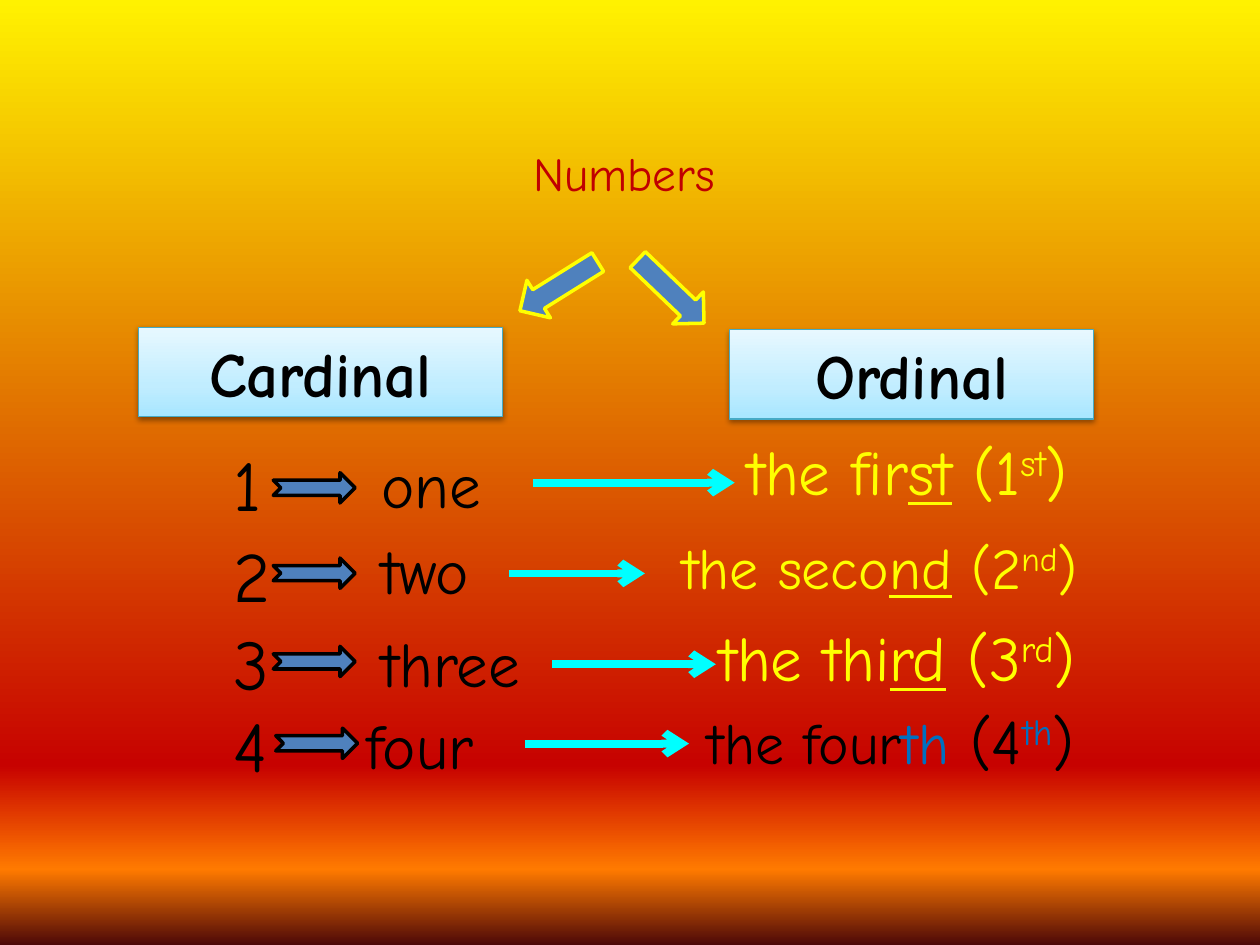
"""Build a slide that pairs cardinal numbers with their ordinal forms."""
import lxml.etree
import pptx
import pptx.dml.color
import pptx.enum.shapes
import pptx.enum.text
import pptx.oxml.ns
import pptx.util

FONT = "Comic Neue"
BLACK, YELLOW, BLUE, CYAN, STEEL = "000000", "FFFF00", "0070C0", "00FFFF", "4F81BD"
SKY = [(0, "FFF200"), (81, "C70200"), (92, "FF7A00"), (100, "4D0808")]
ICE = [(0, "A7E6FF"), (35, "C1EDFF"), (100, "E7F8FF")]

TITLE = ("Numbers", (6.96, 2.79, 11.25, 2.26))
HEADINGS = [("Cardinal", 2.79, 6.6), ("Ordinal", 14.71, 6.65)]
BRANCHES = [(10.82, 4.85, 58), (13.08, 4.95, 313.8)]
ROWS = [
    dict(digit="1", digit_top=8.76, notch=(5.51, 9.53), word="one", word_at=(7.44, 8.86, 3.15),
         link=(10.74, 14.81, 9.73), ordinal=("the fir", "st"), ordinal_at=(14.81, 8.59, 9.98), size=36),
    dict(digit="2", digit_top=10.59, notch=(5.51, 11.25), word="two", word_at=(7.44, 10.59, 3.15),
         link=(10.26, 13, 11.56), ordinal=("the seco", "nd"), ordinal_at=(13.51, 10.59, 11.35), size=33),
    dict(digit="3", digit_top=12.37, notch=(5.51, 13.03), word="three", word_at=(7.44, 12.47, 4.45),
         link=(11.13, 14.43, 13.39), ordinal=("the thi", "rd"), ordinal_at=(14.25, 12.34, 11.43), size=36),
    dict(digit="4", digit_top=14.02, notch=(5.56, 14.68), word="four", word_at=(7.14, 14.12, 3.45),
         link=(10.59, 13.89, 14.99), ordinal=("the four", "th"), ordinal_at=(14.02, 14.02, 11.66), size=33),
]


def color(value):
    return pptx.dml.color.RGBColor.from_string(value)


def lengths(values):
    return [pptx.util.Cm(value) for value in values]


def add_xml(parent, tag, **attributes):
    child = lxml.etree.SubElement(parent, pptx.oxml.ns.qn(tag))
    for name, value in attributes.items():
        child.set(name, str(value))
    return child


def paint_gradient(fill, element, stops, angle):
    fill.gradient()
    gradient = next(element.iter(pptx.oxml.ns.qn("a:gradFill")))
    for child in list(gradient):
        gradient.remove(child)
    stop_list = add_xml(gradient, "a:gsLst")
    for position, value in stops:
        stop = add_xml(stop_list, "a:gs", pos=position * 1000)
        add_xml(stop, "a:srgbClr", val=value)
    add_xml(gradient, "a:lin", ang=angle * 60000, scaled=0)


def write(frame, spans, centered=False):
    para = frame.paragraphs[0]
    align = pptx.enum.text.PP_ALIGN
    para.alignment = align.CENTER if centered else align.LEFT
    for text, size, value, style in spans:
        span = para.add_run()
        span.text = text
        span.font.name = FONT
        span.font.size = pptx.util.Pt(size)
        span.font.color.rgb = color(value)
        if style == "bold":
            span.font.bold = True
        elif style == "underline":
            span.font.underline = True
        elif style == "raised":
            span._r.get_or_add_rPr().set("baseline", "30000")


def add_text(shapes, place, spans, centered=False, wrap=True):
    box = shapes.add_textbox(*lengths(place))
    box.text_frame.word_wrap = wrap
    write(box.text_frame, spans, centered)


def add_shape(shapes, kind, place, line, width):
    shape = shapes.add_shape(getattr(pptx.enum.shapes.MSO_SHAPE, kind), *lengths(place))
    shape.shadow.inherit = False
    shape.fill.solid()
    shape.fill.fore_color.rgb = color(STEEL)
    shape.line.color.rgb = color(line)
    shape.line.width = pptx.util.Pt(width)
    return shape


def add_heading(shapes, text, left, top):
    shape = add_shape(shapes, "RECTANGLE", (left, top, 7.34, 1.8), "46AAC5", 0.75)
    paint_gradient(shape.fill, shape.element, ICE, 270)
    effects = next(shape.element.iter(pptx.oxml.ns.qn("a:effectLst")))
    shadow = add_xml(effects, "a:outerShdw", blurRad=40000, dist=20000, dir=5400000, rotWithShape=0)
    add_xml(add_xml(shadow, "a:srgbClr", val=BLACK), "a:alpha", val=38000)
    shape.text_frame.word_wrap = True
    write(shape.text_frame, [(text, 36, BLACK, "bold")], centered=True)


def add_link(shapes, start, end, height):
    kind = pptx.enum.shapes.MSO_CONNECTOR.STRAIGHT
    link = shapes.add_connector(kind, *lengths((start, height, end, height)))
    link.line.color.rgb = color(CYAN)
    link.line.width = pptx.util.Pt(4.5)
    add_xml(link.line._get_or_add_ln(), "a:tailEnd", type="arrow")
    add_xml(link.element.spPr, "a:effectLst")


def ordinal_spans(row):
    stem, ending = row["ordinal"]
    size, digit = row["size"], row["digit"]
    if digit == "4":
        return [(stem, size, BLACK, None), (ending, size, BLUE, None), (" ", 36, "FF0000", None),
                ("(" + digit, 36, BLACK, None), (ending, 36, BLUE, "raised"), (")", 36, BLACK, None)]
    parts = [(stem, None), (ending, "underline"), (" (" + digit, None), (ending, "raised"), (")", None)]
    return [(text, size, YELLOW, style) for text, style in parts]


def add_row(shapes, row):
    group = shapes.add_group_shape().shapes
    add_text(group, (4.45, row["digit_top"], 1.65, 1.98), [(row["digit"], 40.5, BLACK, None)])
    add_shape(group, "NOTCHED_RIGHT_ARROW", (*row["notch"], 1.65, 0.61), BLACK, 2)
    add_text(shapes, (*row["word_at"], 1.8), [(row["word"], 36, BLACK, None)])
    add_link(shapes, *row["link"])
    add_text(shapes, (*row["ordinal_at"], 1.8), ordinal_spans(row))


def main():
    deck = pptx.Presentation()
    deck.slide_width, deck.slide_height = lengths((25.4, 19.05))
    slide = deck.slides.add_slide(deck.slide_layouts[6])
    paint_gradient(slide.background.fill, slide.element, SKY, 90)
    text, place = TITLE
    add_text(slide.shapes, place, [(text, 27, "C00000", None)], centered=True, wrap=False)
    for heading in HEADINGS:
        add_heading(slide.shapes, *heading)
    for left, top, turn in BRANCHES:
        arrow = add_shape(slide.shapes, "DOWN_ARROW", (left, top, 0.89, 1.85), YELLOW, 2)
        arrow.rotation = turn
    for row in ROWS:
        add_row(slide.shapes, row)
    deck.save("out.pptx")


if __name__ == "__main__":
    main()
